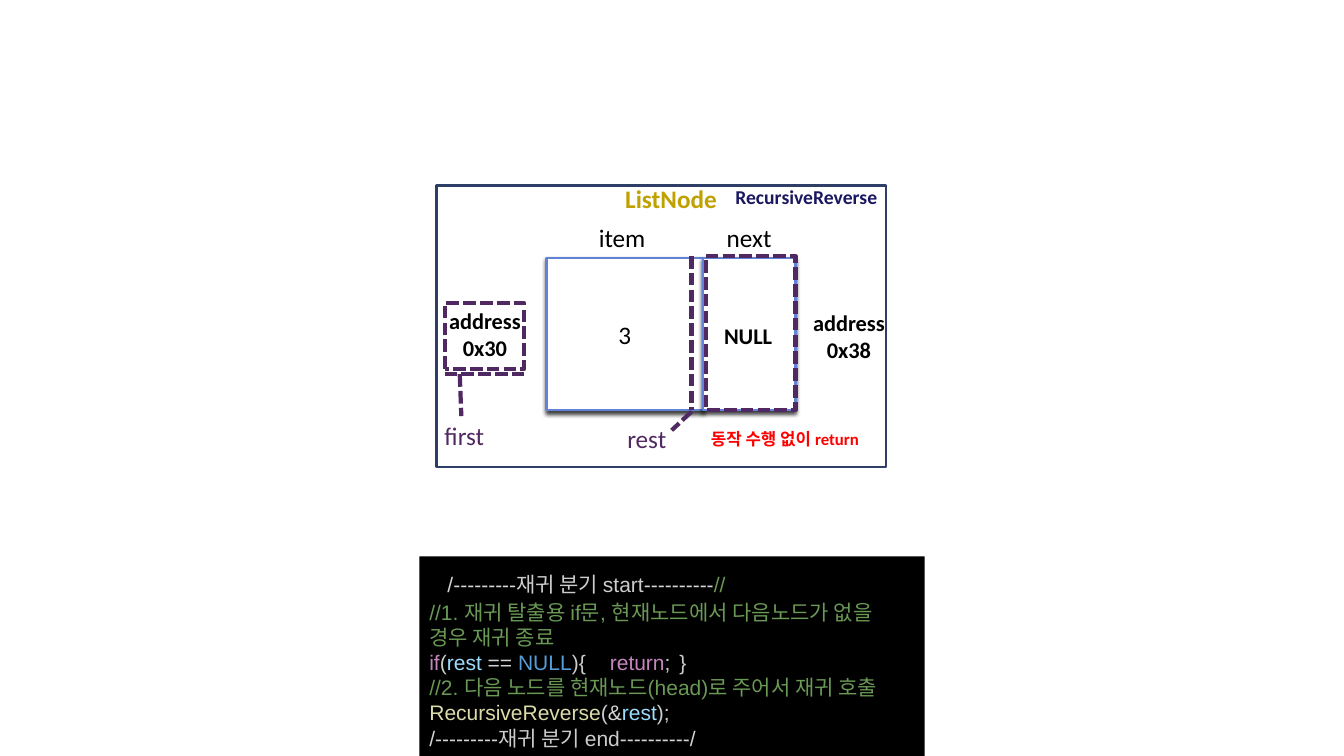
from lxml import etree
from pptx import Presentation
from pptx.dml.color import RGBColor
from pptx.enum.dml import MSO_LINE
from pptx.enum.shapes import MSO_SHAPE
from pptx.enum.text import MSO_ANCHOR, PP_ALIGN
from pptx.oxml.ns import qn
from pptx.util import Inches, Pt

RECT = MSO_SHAPE.RECTANGLE
CELL = MSO_SHAPE.FLOWCHART_PROCESS
CALLOUT = MSO_SHAPE.LINE_CALLOUT_1_BORDER_AND_ACCENT_BAR
DASH = MSO_LINE.SQUARE_DOT
LEFT, CENTER, RIGHT = PP_ALIGN.LEFT, PP_ALIGN.CENTER, PP_ALIGN.RIGHT
TOP, MIDDLE = MSO_ANCHOR.TOP, MSO_ANCHOR.MIDDLE

WHITE = RGBColor(0xFF, 0xFF, 0xFF)
BLACK = RGBColor(0x00, 0x00, 0x00)
NAVY = RGBColor(0x2E, 0x3E, 0x67)
BLUE = RGBColor(0x61, 0x82, 0xD6)
GOLD = RGBColor(0xBF, 0xA1, 0x00)
PURPLE = RGBColor(0x50, 0x29, 0x62)
INDIGO = RGBColor(0x1B, 0x17, 0x60)
RED = RGBColor(0xFF, 0x00, 0x00)
PLAIN = RGBColor(0xCC, 0xCC, 0xCC)
MARK = RGBColor(0xD4, 0xD4, 0xD4)
NOTE = RGBColor(0x6A, 0x99, 0x55)
WORD = RGBColor(0xC5, 0x86, 0xC0)
NAME = RGBColor(0x9C, 0xDC, 0xFE)
CONST = RGBColor(0x56, 0x9C, 0xD6)
CALL = RGBColor(0xDC, 0xDC, 0xAA)

CODE = [
    [("/---------", MARK), ("재귀 분기 start", PLAIN),
     ("----------", MARK), ("//", NOTE)],
    [("//1. 재귀 탈출용 if문, 현재노드에서 다음노드가 없을 경우 재귀 종료", NOTE)],
    [("if", WORD), ("(", PLAIN), ("rest ", NAME), ("== ", MARK),
     ("NULL", CONST), ("){\t", PLAIN), ("return", WORD), (";\t}", PLAIN)],
    [("//2. 다음 노드를 현재노드(head)로 주어서 재귀 호출", NOTE)],
    [("RecursiveReverse", CALL), ("(", PLAIN), ("&", MARK),
     ("rest", NAME), (");", PLAIN)],
    [("/---------", MARK), ("재귀 분기 end", PLAIN), ("----------/", MARK)],
]


def place(box):
    return [Inches(n) for n in box]


def write(frame, lines, size, font="Calibri", bold=False, align=CENTER):
    for i, line in enumerate(lines):
        para = frame.paragraphs[0] if i == 0 else frame.add_paragraph()
        para.alignment = align
        for text, color in line:
            run = para.add_run()
            run.text = text
            run.font.name = font
            run.font.size = Pt(size)
            run.font.bold = bold
            run.font.color.rgb = color


def add_label(slide, box, text, size, color=BLACK, bold=False, align=CENTER):
    frame = slide.shapes.add_textbox(*place(box)).text_frame
    frame.word_wrap = True
    lines = [[(part, color)] for part in text.split("\n")]
    write(frame, lines, size, bold=bold, align=align)


def add_box(slide, kind, box, fill=None, line=None, width=1.5):
    shape = slide.shapes.add_shape(kind, *place(box))
    shape.shadow.inherit = False
    if fill is None:
        shape.fill.background()
    else:
        shape.fill.solid()
        shape.fill.fore_color.rgb = fill
    if line is None:
        shape.line.fill.background()
    else:
        shape.line.color.rgb = line
        shape.line.width = Pt(width)
    return shape


def add_cell(slide, box):
    shape = add_box(slide, CELL, box, WHITE, BLUE)
    effects = shape._element.spPr.find(qn("a:effectLst"))
    shadow = etree.SubElement(
        effects, qn("a:outerShdw"), blurRad=str(Pt(3)), dist=str(Pt(2)),
        dir="5400000", rotWithShape="0")
    color = etree.SubElement(shadow, qn("a:srgbClr"), val=str(BLACK))
    etree.SubElement(color, qn("a:alpha"), val="75000")
    return shape


def add_callout(slide, box, points, turn=0):
    shape = add_box(slide, CALLOUT, box, line=PURPLE, width=3)
    shape.line.dash_style = DASH
    shape.rotation = turn
    for i, point in enumerate(points):
        shape.adjustments[i] = point


def add_code(slide, box):
    frame = add_box(slide, RECT, box, BLACK).text_frame
    frame.word_wrap = True
    frame.vertical_anchor = TOP
    frame.margin_top = Inches(0.15)
    write(frame, CODE, 15, "Arial", align=LEFT)
    first, test = frame.paragraphs[0], frame.paragraphs[2]
    first.space_after = Pt(1.7)
    first._p.get_or_add_pPr().set("indent", str(Inches(0.18)))
    tabs = etree.SubElement(test._p.get_or_add_pPr(), qn("a:tabLst"))
    for stop in (1.79, 2.48):
        etree.SubElement(tabs, qn("a:tab"), pos=str(Inches(stop)), algn="l")


def main():
    deck = Presentation()
    deck.slide_width, deck.slide_height = Inches(13.33), Inches(7.5)
    slide = deck.slides.add_slide(deck.slide_layouts[6])

    add_box(slide, RECT, (4.33, 1.84, 4.46, 2.79), WHITE, NAVY)
    item = add_cell(slide, (5.42, 2.56, 1.55, 1.51))
    item.text_frame.vertical_anchor = MIDDLE
    write(item.text_frame, [[("3", BLACK)]], 18)
    add_cell(slide, (6.97, 2.56, 0.92, 1.51))

    add_label(slide, (4.35, 3, 0.92, 0.63), "address\n0x30", 16, bold=True)
    add_label(slide, (6.97, 2.16, 0.92, 0.4), "next", 18)
    add_label(slide, (5.82, 2.16, 0.7, 0.4), "item", 18)
    add_label(slide, (5.42, 1.77, 2.47, 0.4), "ListNode", 18, GOLD, True)
    add_label(slide, (6.96, 3.15, 0.92, 0.37), "NULL", 16, bold=True)
    add_label(slide, (7.89, 3.02, 1.06, 0.63), "address\n0x38", 16, bold=True)

    add_label(slide, (4, 4.12, 1.21, 0.4), "first", 18, PURPLE)
    add_callout(slide, (4.48, 2.94, 0.65, 0.79),
                (0.19, -0.08, 0.21, -0.72), 270)
    add_label(slide, (5.81, 4.15, 1.21, 0.4), "rest", 18, PURPLE)
    add_callout(slide, (7, 2.54, 0.89, 1.53), (1.01, -0.16, 1.13, -0.38))

    add_label(slide, (6.33, 1.79, 2.47, 0.33), "RecursiveReverse", 14,
              INDIGO, True, RIGHT)
    add_label(slide, (6.67, 4.2, 2.23, 0.3), "동작 수행 없이 return", 12,
              RED, True)
    add_code(slide, (4.16, 5.52, 5.01, 1.98))
    deck.save("out.pptx")


if __name__ == "__main__":
    main()
